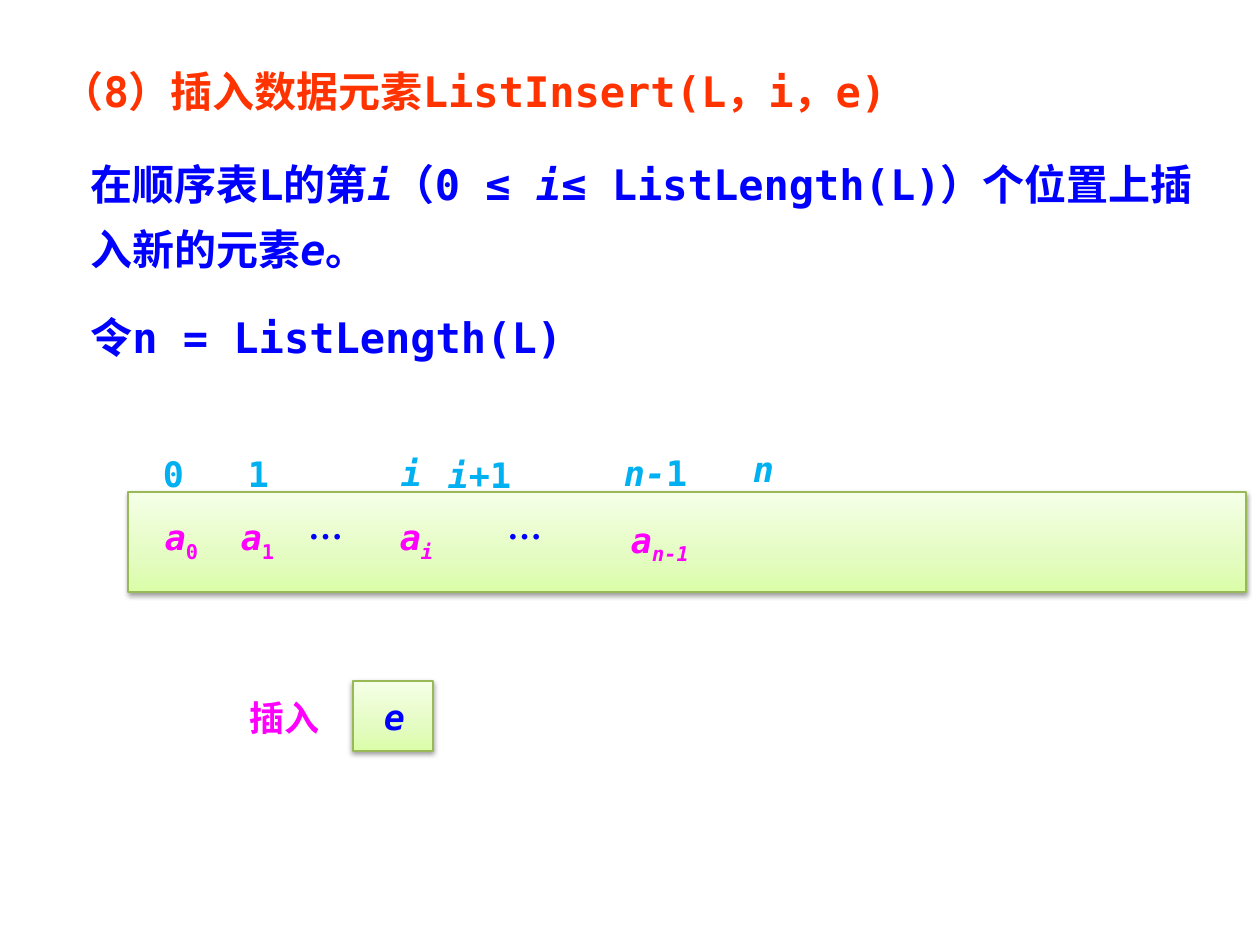
from lxml import etree
from pptx import Presentation
from pptx import util as u
from pptx.dml.color import RGBColor
from pptx.enum import shapes, text
from pptx.oxml import parse_xml
from pptx.oxml.ns import qn

PX = 914400 / 126
MONO, CJK = "DejaVu Sans Mono", "Noto Sans CJK SC"
NS = 'xmlns:a="http://schemas.openxmlformats.org/drawingml/2006/main"'
COLORS = {"heading": "FF3300", "body": "0000FF", "index": "00B0F0", "element": "FF00FF",
          "border": "98B955", "shadow": "000000"}
GRADIENT = [(0, "DAFDA7"), (35, "E4FCC2"), (100, "F5FFE7")]

HEADING = ("（8）插入数据元素ListInsert(L，i，e)", (49, 59, 937, 63))
BODY_BOX = (78, 137, 1147, 237)
BODY = [
    [("在顺序表L的第", ""), ("i", "i"), ("（0 ≤ ", ""), ("i", "i"),
     ("≤ ListLength(L)）个位置上插入新的元素", ""), ("e", "i"), ("。", "")],
    [("令n = ListLength(L)", "")],
]
ARRAY_BAR = (128, 492, 1118, 100)
NEW_ELEMENT_BOX = (353, 681, 80, 70)
LABEL_HEIGHT = 55
# runs (i = italic, s = subscript), left, top, width, colour, font
LABELS = [
    ([("0", "")], 139, 446, 69, "index", MONO),
    ([("1", "")], 224, 446, 69, "index", MONO),
    ([("i", "i")], 377, 445, 69, "index", MONO),
    ([("i+", "i"), ("1", "")], 432, 447, 95, "index", MONO),
    ([("n-", "i"), ("1", "")], 571, 445, 169, "index", MONO),
    ([("n", "i")], 689, 441, 149, "index", MONO),
    ([("a", "i"), ("0", "s")], 147, 509, 69, "element", MONO),
    ([("a", "i"), ("1", "s")], 223, 509, 69, "element", MONO),
    ([("…", "")], 292, 509, 69, "body", CJK),
    ([("a", "i"), ("i", "is")], 382, 509, 69, "element", MONO),
    ([("…", "")], 491, 509, 69, "body", CJK),
    ([("a", "i"), ("n-1", "is")], 610, 512, 100, "element", MONO),
    ([("插入", "")], 224, 690, 122, "element", MONO),
    ([("e", "i")], 360, 689, 69, "body", MONO),
]


def emu(box):
    return [round(v * PX) for v in box]


def format_run(run, size, color, font=MONO, style=""):
    run.font.size = u.Pt(size)
    run.font.bold = True
    run.font.italic = "i" in style
    run.font.color.rgb = RGBColor.from_string(COLORS[color])
    run.font.name = font
    properties = run._r.get_or_add_rPr()
    etree.SubElement(properties, qn("a:ea")).set("typeface", CJK)
    if "s" in style:
        properties.set("baseline", "-25000")


def add_runs(paragraph, pieces, size, color, font=MONO):
    for words, style in pieces:
        run = paragraph.add_run()
        run.text = words
        format_run(run, size, color, font, style)


def add_text_frame(slide, box):
    frame = slide.shapes.add_textbox(*emu(box)).text_frame
    frame.word_wrap = True
    return frame


def add_green_box(slide, box):
    rect = slide.shapes.add_shape(shapes.MSO_SHAPE.RECTANGLE, *emu(box))
    rect.line.color.rgb = RGBColor.from_string(COLORS["border"])
    rect.line.width = u.Pt(0.75)
    stops = "".join(f'<a:gs pos="{pos * 1000}"><a:srgbClr val="{color}"/></a:gs>'
                    for pos, color in GRADIENT)
    outline = rect.line._get_or_add_ln()
    outline.addprevious(parse_xml(
        f'<a:gradFill {NS} rotWithShape="1"><a:gsLst>{stops}</a:gsLst>'
        '<a:lin ang="16200000" scaled="0"/></a:gradFill>'))
    outline.addnext(parse_xml(
        f'<a:effectLst {NS}><a:outerShdw blurRad="{u.Pt(3.1)}" dist="{u.Pt(1.6)}" '
        f'dir="5400000" rotWithShape="0"><a:srgbClr val="{COLORS["shadow"]}">'
        '<a:alpha val="38000"/></a:srgbClr></a:outerShdw></a:effectLst>'))


def main():
    prs = Presentation()
    prs.slide_width, prs.slide_height = u.Inches(10), u.Inches(7.5)
    slide = prs.slides.add_slide(prs.slide_layouts[5])

    heading = slide.shapes.title
    heading.left, heading.top, heading.width, heading.height = emu(HEADING[1])
    frame = heading.text_frame
    frame.text = HEADING[0]
    frame.auto_size = text.MSO_AUTO_SIZE.NONE
    frame.vertical_anchor = text.MSO_ANCHOR.TOP
    frame.paragraphs[0].alignment = text.PP_ALIGN.LEFT
    format_run(frame.paragraphs[0].runs[0], 24, "heading")

    frame = add_text_frame(slide, BODY_BOX)
    for n, pieces in enumerate(BODY):
        paragraph = frame.add_paragraph() if n else frame.paragraphs[0]
        paragraph.line_spacing = 1.3
        if n:
            paragraph.space_before = u.Pt(12.6)
        add_runs(paragraph, pieces, 24, "body")

    for box in (ARRAY_BAR, NEW_ELEMENT_BOX):
        add_green_box(slide, box)

    for pieces, left, top, width, color, font in LABELS:
        paragraph = add_text_frame(slide, (left, top, width, LABEL_HEIGHT)).paragraphs[0]
        paragraph.alignment = text.PP_ALIGN.CENTER
        add_runs(paragraph, pieces, 20, color, font)

    prs.save("out.pptx")


if __name__ == "__main__":
    main()
